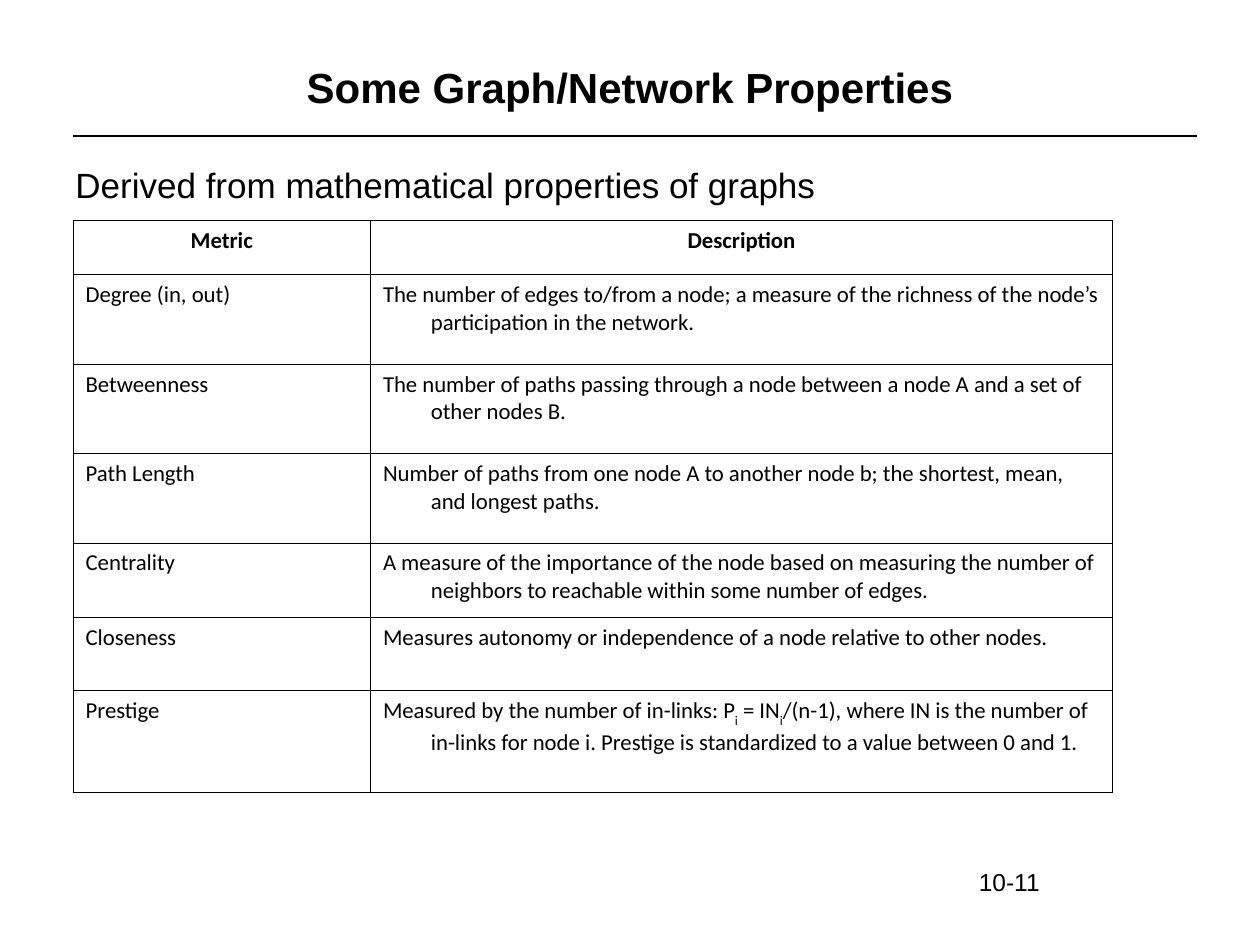
from lxml import etree
from pptx import Presentation
from pptx.dml.color import RGBColor
from pptx.enum.shapes import MSO_CONNECTOR
from pptx.enum.text import MSO_ANCHOR, PP_ALIGN
from pptx.oxml.ns import qn
from pptx.util import Inches, Pt

STRAIGHT = MSO_CONNECTOR.STRAIGHT
TOP, MIDDLE = MSO_ANCHOR.TOP, MSO_ANCHOR.MIDDLE
LEFT, CENTER = PP_ALIGN.LEFT, PP_ALIGN.CENTER
BLACK = "000000"
HANGING = Inches(0.38)

# Text between bars is set as a subscript.
ROWS = [
    ("Metric", "Description"),
    ("Degree (in, out)",
     "The number of edges to/from a node; a measure of the richness of the "
     "node’s participation in the network."),
    ("Betweenness",
     "The number of paths passing through a node between a node A and a set "
     "of other nodes B."),
    ("Path Length",
     "Number of paths from one node A to another node b; the shortest, mean, "
     "and longest paths."),
    ("Centrality",
     "A measure of the importance of the node based on measuring the number "
     "of neighbors to reachable within some number of edges."),
    ("Closeness",
     "Measures autonomy or independence of a node relative to other nodes."),
    ("Prestige",
     "Measured by the number of in-links: P|i| = IN|i|/(n-1), where IN is the "
     "number of in-links for node i. Prestige is standardized to a value "
     "between 0 and 1."),
]
COLUMN_WIDTHS = [2.36, 5.89]
ROW_HEIGHTS = [0.43, 0.71, 0.71, 0.71, 0.59, 0.58, 0.81]


def set_font(font, name, size, color, bold=False):
    font.name = name
    font.size = Pt(size)
    font.bold = bold
    font.color.rgb = RGBColor.from_string(color)


def add_borders(cell, color, width):
    """Draw a solid line on all four sides; call before setting the fill."""
    tc_pr = cell._tc.get_or_add_tcPr()
    for side in ("lnL", "lnR", "lnT", "lnB"):
        ln = etree.SubElement(tc_pr, qn(f"a:{side}"), w=str(Pt(width)))
        fill = etree.SubElement(ln, qn("a:solidFill"))
        etree.SubElement(fill, qn("a:srgbClr"), val=color)


prs = Presentation()
prs.slide_width, prs.slide_height = Inches(10), Inches(7.5)
slide = prs.slides.add_slide(prs.slide_layouts[6])

# Rule under the title
rule = slide.shapes.add_connector(
    STRAIGHT, Inches(0.58), Inches(1.08), Inches(9.5), Inches(1.08))
rule.line.color.rgb = RGBColor.from_string(BLACK)
rule.line.width = Pt(0.75)
etree.SubElement(rule._element.spPr, qn("a:effectLst"))

# Title, lead line and page number
for text, box, size, bold, align, anchor in [
    ("Some Graph/Network Properties", (0.5, 0.3, 9, 0.78), 24, True, CENTER, MIDDLE),
    ("Derived from mathematical properties of graphs",
     (0.5, 1.25, 9.08, 0.5), 20, False, LEFT, TOP),
    ("10-11", (7.67, 6.83, 1.08, 0.52), 14, False, LEFT, TOP),
]:
    tf = slide.shapes.add_textbox(*[Inches(v) for v in box]).text_frame
    tf.word_wrap = True
    tf.vertical_anchor = anchor
    tf.text = text
    p = tf.paragraphs[0]
    p.alignment = align
    set_font(p.runs[0].font, "Arial", size, BLACK, bold)

# Table of metrics
table = slide.shapes.add_table(
    len(ROWS), len(COLUMN_WIDTHS), Inches(0.58), Inches(1.75),
    Inches(sum(COLUMN_WIDTHS)), Inches(sum(ROW_HEIGHTS))).table
table.first_row = False
table.horz_banding = False
for column, width in zip(table.columns, COLUMN_WIDTHS):
    column.width = Inches(width)
for row, height in zip(table.rows, ROW_HEIGHTS):
    row.height = Inches(height)

for i, texts in enumerate(ROWS):
    header = i == 0
    for j, text in enumerate(texts):
        cell = table.cell(i, j)
        add_borders(cell, BLACK, 0.45)
        cell.fill.background()
        p = cell.text_frame.paragraphs[0]
        p.alignment = CENTER if header else LEFT
        p_pr = p._p.get_or_add_pPr()
        p_pr.set("marL", str(HANGING))
        p_pr.set("indent", str(-HANGING))
        for k, part in enumerate(text.split("|")):
            r = p.add_run()
            r.text = part
            set_font(r.font, "Calibri", 13, BLACK, header)
            if k % 2:
                r._r.get_or_add_rPr().set("baseline", "-30000")

prs.save("out.pptx")
